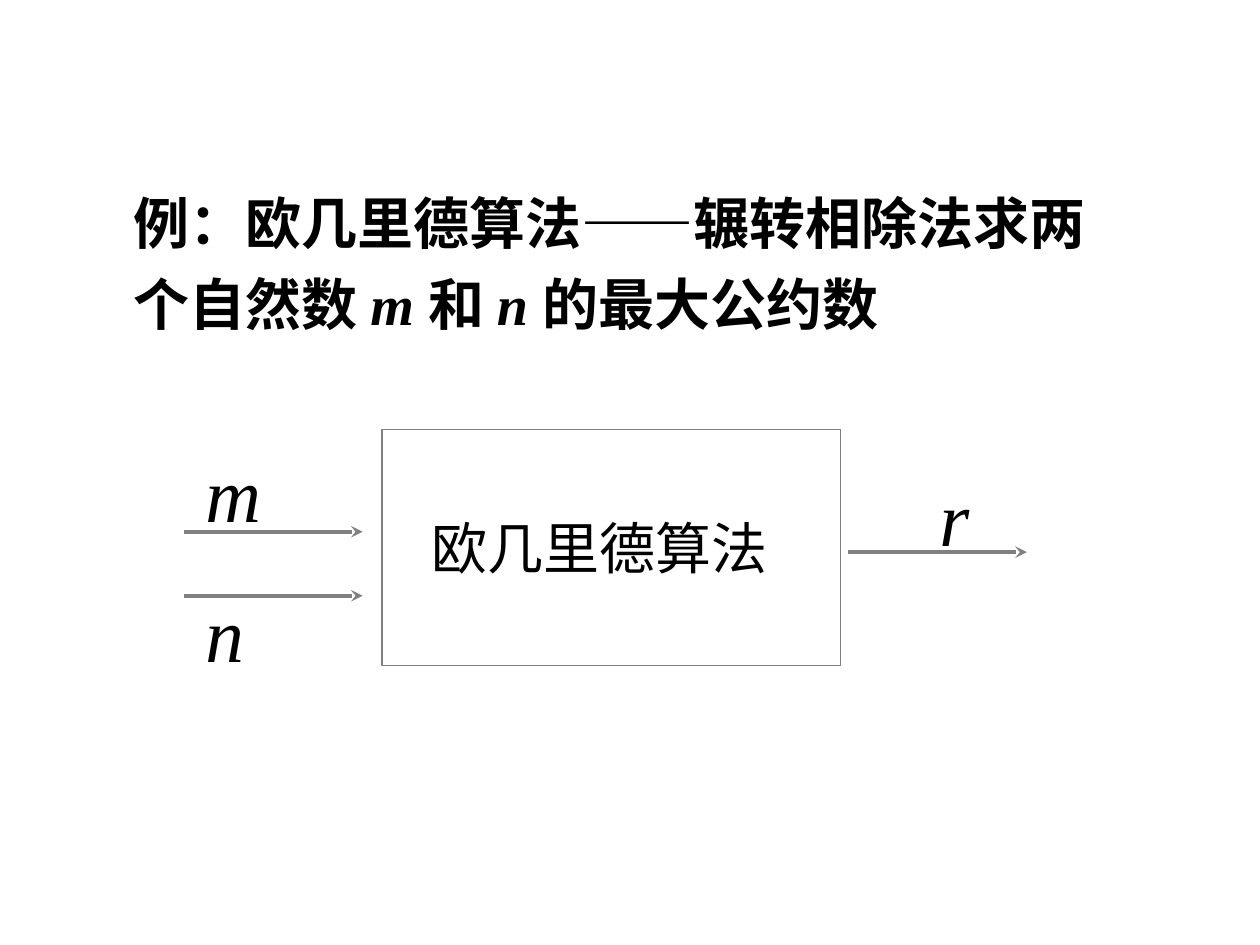
from typing import NamedTuple

from lxml.etree import SubElement
from pptx import Presentation
from pptx.dml.color import RGBColor
from pptx.enum.shapes import MSO_CONNECTOR
from pptx.enum.text import MSO_ANCHOR, MSO_AUTO_SIZE, PP_ALIGN
from pptx.oxml.ns import qn
from pptx.util import Cm, Pt

COLORS = {"ink": "000000", "line": "808080"}
SERIF, SANS = "Times New Roman", "Arial"
FRAME = {
    "word_wrap": True,
    "auto_size": MSO_AUTO_SIZE.NONE,
    "vertical_anchor": MSO_ANCHOR.TOP,
    "margin_left": Cm(0.25),
    "margin_right": Cm(0.25),
    "margin_top": Cm(0.13),
    "margin_bottom": Cm(0.13),
}
PLAIN = {"name": SERIF, "size": Pt(32), "bold": False, "italic": False}
HEAD = PLAIN | {"name": SANS, "bold": True}
VAR = HEAD | {"name": SERIF, "italic": True}
LABEL = PLAIN | {"size": Pt(44), "italic": True}


class Box(NamedTuple):
    left: float
    top: float
    width: float
    height: float


class Flow(NamedTuple):
    name: str
    left: float
    level: float
    label: Box


FLOWS = [
    Flow("m", 3.71, 10.72, Box(3.89, 8.71, 2, 2.13)),
    Flow("n", 3.71, 12.01, Box(3.89, 11.53, 2, 2.13)),
    Flow("r", 17.1, 11.13, Box(18.69, 9.19, 2, 2.13)),
]
REACH = 3.6


def apply(target, values: dict) -> None:
    for key, value in values.items():
        setattr(target, key, value)


def place(shape, box: Box) -> None:
    apply(shape, {key: Cm(value) for key, value in box._asdict().items()})


def paint(line, width: float) -> None:
    line.color.rgb = RGBColor.from_string(COLORS["line"])
    line.width = Pt(width)


def write(shape, runs: list[tuple[str, dict]], frame: dict, space: float = 1.0) -> None:
    apply(shape.text_frame, FRAME | frame)
    para = shape.text_frame.paragraphs[0]
    props = para._p.get_or_add_pPr()
    apply_indent = {"marL": "0", "indent": "0"}
    for key, value in apply_indent.items():
        props.set(key, value)
    SubElement(props, qn("a:buNone"))
    apply(para, {"alignment": PP_ALIGN.LEFT, "line_spacing": space, "space_before": Pt(0)})
    for text, style in runs:
        run = para.add_run()
        run.text = text
        apply(run.font, style)
        run.font.color.rgb = RGBColor.from_string(COLORS["ink"])


def draw(slide, flow: Flow) -> None:
    level = Cm(flow.level)
    arrow = slide.shapes.add_connector(
        MSO_CONNECTOR.STRAIGHT, Cm(flow.left), level, Cm(flow.left + REACH), level
    )
    paint(arrow.line, 2.25)
    SubElement(arrow.line._get_or_add_ln(), qn("a:tailEnd"), type="stealth")
    SubElement(arrow._element.spPr, qn("a:effectLst"))
    label = slide.shapes.add_textbox(*map(Cm, flow.label))
    write(label, [(flow.name, LABEL)], {"margin_top": Cm(0.28)})


def main() -> None:
    deck = Presentation()
    apply(deck, {"slide_width": Cm(25.4), "slide_height": Cm(19.05)})
    slide = deck.slides.add_slide(deck.slide_layouts[1])

    title = slide.shapes.title
    place(title, Box(2.44, 3.4, 20.2, 3.5))
    runs = [
        ("例：欧几里德算法——辗转相除法求两个自然数 ", HEAD),
        ("m ", VAR),
        ("和 ", HEAD),
        ("n ", VAR),
        ("的最大公约数", HEAD),
    ]
    write(title, runs, {}, 1.2)

    body = slide.placeholders[1]
    place(body, Box(7.7, 8.66, 9.25, 4.75))
    body.fill.background()
    paint(body.line, 0.75)
    middle = {"vertical_anchor": MSO_ANCHOR.MIDDLE, "margin_left": Cm(1)}
    write(body, [("欧几里德算法", PLAIN)], middle)

    for flow in FLOWS:
        draw(slide, flow)
    deck.save("out.pptx")


if __name__ == "__main__":
    main()
